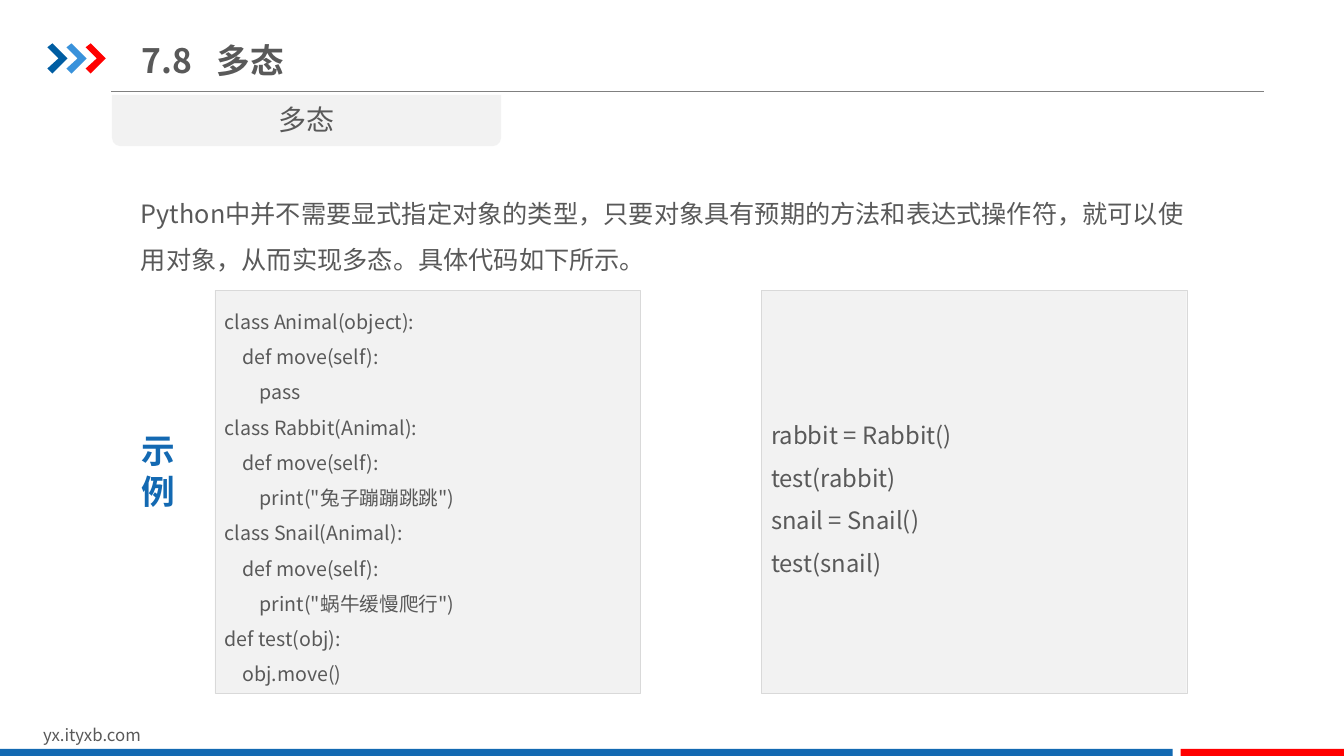
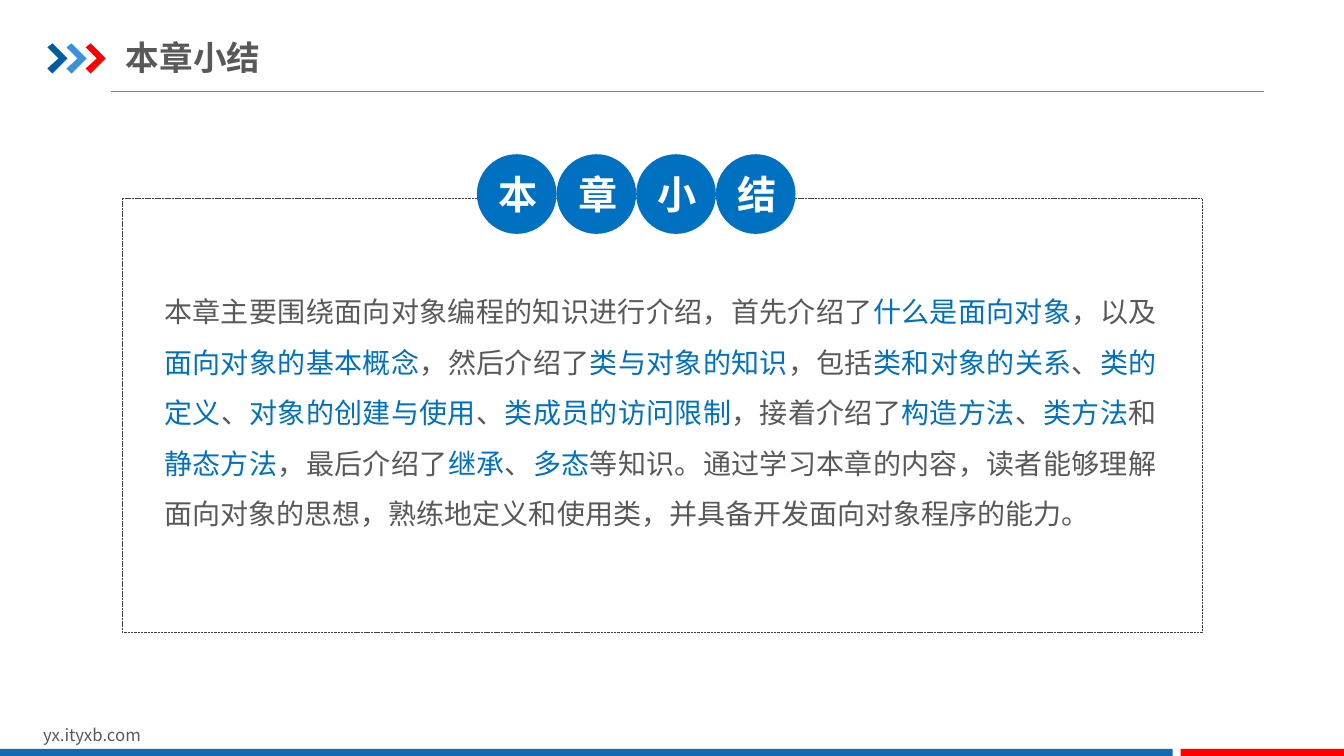
from dataclasses import dataclass
from typing import NamedTuple

from lxml import etree
from pptx import Presentation
from pptx import util as u
from pptx.dml.color import RGBColor
from pptx.enum import dml, shapes, text
from pptx.oxml import ns

PX = 9144  # EMU per px, 100 px to the inch
FONT = "Noto Sans CJK SC"

GREY_TEXT = RGBColor(0x59, 0x59, 0x59)
BLUE = RGBColor(0x13, 0x69, 0xB2)
KEY_BLUE = RGBColor(0x00, 0x70, 0xC0)
NAVY = RGBColor(0x00, 0x5D, 0xA2)
SKY = RGBColor(0x39, 0x92, 0xDB)
RED = RGBColor(0xFF, 0x00, 0x00)
WHITE = RGBColor(0xFF, 0xFF, 0xFF)
PANEL = RGBColor(0xF2, 0xF2, 0xF2)
PANEL_EDGE = RGBColor(0xD9, 0xD9, 0xD9)
RULE = RGBColor(0x80, 0x80, 0x80)
FRAME = RGBColor(0x40, 0x40, 0x40)

LEFT, CENTER, JUSTIFY = text.PP_ALIGN.LEFT, text.PP_ALIGN.CENTER, text.PP_ALIGN.JUSTIFY
TOP, MIDDLE = text.MSO_ANCHOR.TOP, text.MSO_ANCHOR.MIDDLE
PRESET = shapes.MSO_SHAPE

CHEVRON = [(0, 4), (5, 0), (20, 15), (5, 30), (0, 25), (11, 15)]


class Box(NamedTuple):
    left: int
    top: int
    width: int
    height: int

    def emu(self) -> list[int]:
        return [v * PX for v in self]


@dataclass(frozen=True)
class Style:
    size: int
    color: RGBColor = GREY_TEXT
    bold: bool = False
    align: text.PP_ALIGN = LEFT
    spacing: float = 1.0
    anchor: text.MSO_ANCHOR = TOP
    inset: tuple[int, int] = (10, 5)
    tab: int = 0


@dataclass(frozen=True)
class CodePanel:
    box: Box
    size: int
    code: str


TITLE = Style(24, bold=True, anchor=MIDDLE)
BODY = Style(18, spacing=1.5)
SUMMARY = Style(20, align=JUSTIFY, spacing=1.5, inset=(0, 0))
BADGE = Style(28, WHITE, True, CENTER, anchor=MIDDLE)

PANELS = [
    CodePanel(Box(213, 288, 422, 400), 14, """class Animal(object):
    def move(self):
        pass
class Rabbit(Animal):
    def move(self):
        print("兔子蹦蹦跳跳")
class Snail(Animal):
    def move(self):
        print("蜗牛缓慢爬行")
def test(obj):
    obj.move()"""),
    CodePanel(Box(755, 288, 422, 400), 17, """rabbit = Rabbit()
test(rabbit)
snail = Snail()
test(snail)"""),
]

SUMMARY_TEXT = (
    "本章主要围绕面向对象编程的知识进行介绍，首先介绍了|什么是面向对象|，以及|面向对象的基本概念|，"
    "然后介绍了|类与对象的知识|，包括|类和对象的关系|、|类的定义|、|对象的创建与使用|、"
    "|类成员的访问限制|，接着介绍了|构造方法|、|类方法|和|静态方法|，最后介绍了|继承|、|多态|"
    "等知识。通过学习本章的内容，读者能够理解面向对象的思想，熟练地定义和使用类，"
    "并具备开发面向对象程序的能力。"
)


def set_all(target, **values) -> None:
    for name, value in values.items():
        setattr(target, name, value)


def write(sp, content: str, style: Style) -> None:
    """Fill a shape with one paragraph per line; parts between bars are highlighted."""
    tf = sp.text_frame
    dx, dy = (v * PX for v in style.inset)
    set_all(tf, word_wrap=True, vertical_anchor=style.anchor, margin_left=dx,
            margin_right=dx, margin_top=dy, margin_bottom=dy)
    for i, line in enumerate(content.split("\n")):
        p = tf.add_paragraph() if i else tf.paragraphs[0]
        set_all(p, alignment=style.align, line_spacing=style.spacing)
        if style.tab:
            tabs = etree.SubElement(p._p.get_or_add_pPr(), ns.qn("a:tabLst"))
            etree.SubElement(tabs, ns.qn("a:tab"), pos=str(style.tab * PX), algn="l")
        for j, part in enumerate(line.split("|")):
            r = p.add_run()
            r.text = part
            set_all(r.font, name=FONT, size=u.Pt(style.size), bold=style.bold)
            r.font.color.rgb = KEY_BLUE if j % 2 else style.color
            etree.SubElement(r._r.get_or_add_rPr(), ns.qn("a:ea"), typeface=FONT)


def add_text(s, box: Box, content: str, style: Style) -> None:
    write(s.shapes.add_textbox(*box.emu()), content, style)


def paint(sp, fill: RGBColor | None, edge: RGBColor | None = None) -> None:
    sp.shadow.inherit = False
    if fill is None:
        sp.fill.background()
    else:
        sp.fill.solid()
        sp.fill.fore_color.rgb = fill
    if edge is None:
        sp.line.fill.background()
    else:
        sp.line.color.rgb = edge
        sp.line.width = u.Pt(0.25)


def add_shape(s, preset: PRESET, box: Box, fill: RGBColor | None,
              edge: RGBColor | None = None):
    sp = s.shapes.add_shape(preset, *box.emu())
    paint(sp, fill, edge)
    return sp


def add_base_slide(prs, title: str, title_box: Box, style: Style):
    """Add a slide with the shared header, title and footer."""
    s = prs.slides.add_slide(prs.slide_layouts[6])
    rule = s.shapes.add_connector(shapes.MSO_CONNECTOR.STRAIGHT,
                                  *(v * PX for v in (110, 91, 1254, 91)))
    rule.line.color.rgb = RULE
    rule.line.width = u.Pt(0.75)
    etree.SubElement(rule._element.spPr, ns.qn("a:effectLst"))

    for i, color in enumerate((NAVY, SKY, RED)):
        points = [(47 + 19 * i + x, 43 + y) for x, y in CHEVRON]
        builder = s.shapes.build_freeform(*points[0], scale=PX)
        builder.add_line_segments(points[1:])
        paint(builder.convert_to_shape(), color)

    add_text(s, Box(33, 714, 318, 30), "yx.ityxb.com", Style(12))
    add_shape(s, PRESET.RECTANGLE, Box(0, 743, 1163, 7), BLUE)
    add_shape(s, PRESET.RECTANGLE, Box(1171, 743, 162, 7), RED)
    add_text(s, title_box, title, style)
    return s


def add_polymorphism_slide(prs) -> None:
    style = Style(24, bold=True, anchor=MIDDLE, tab=74)
    s = add_base_slide(prs, "7.8\t多态", Box(131, 29, 576, 61), style)
    tab = add_shape(s, PRESET.ROUND_2_SAME_RECTANGLE, Box(111, 94, 386, 51), PANEL)
    tab.rotation = 180
    add_text(s, Box(111, 97, 386, 44), "多态", Style(20, align=CENTER))
    add_text(s, Box(130, 177, 1056, 101),
             "Python中并不需要显式指定对象的类型，只要对象具有预期的方法和表达式操作符，"
             "就可以使用对象，从而实现多态。具体代码如下所示。", BODY)
    for panel in PANELS:
        sp = add_shape(s, PRESET.RECTANGLE, panel.box, PANEL, PANEL_EDGE)
        write(sp, panel.code, Style(panel.size, spacing=1.5, anchor=MIDDLE))
    add_text(s, Box(130, 422, 54, 91), "示\n例", Style(24, BLUE, True, CENTER))


def add_summary_slide(prs) -> None:
    style = Style(24, bold=True, anchor=MIDDLE, inset=(0, 7))
    s = add_base_slide(prs, "本章小结", Box(125, 29, 620, 55), style)
    frame = add_shape(s, PRESET.RECTANGLE, Box(121, 197, 1071, 430), None, FRAME)
    frame.line.dash_style = dml.MSO_LINE.SQUARE_DOT
    add_text(s, Box(163, 276, 984, 252), SUMMARY_TEXT, SUMMARY)
    size = 79
    for i, char in enumerate("本章小结"):
        badge = add_shape(s, PRESET.OVAL, Box(473 + size * i, 153, size, size), KEY_BLUE)
        write(badge, char, BADGE)


def main() -> None:
    prs = Presentation()
    set_all(prs, slide_width=1333 * PX, slide_height=750 * PX)
    add_polymorphism_slide(prs)
    add_summary_slide(prs)
    prs.save("out.pptx")


if __name__ == "__main__":
    main()
